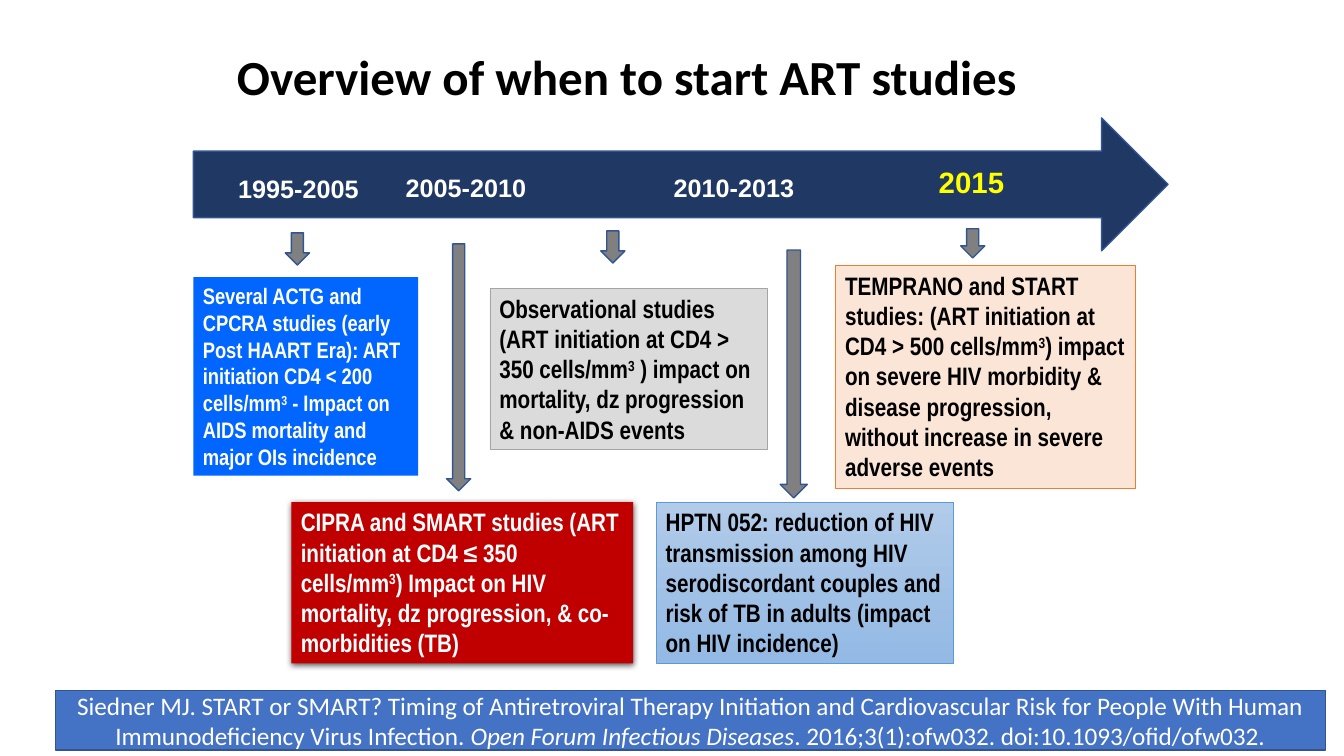
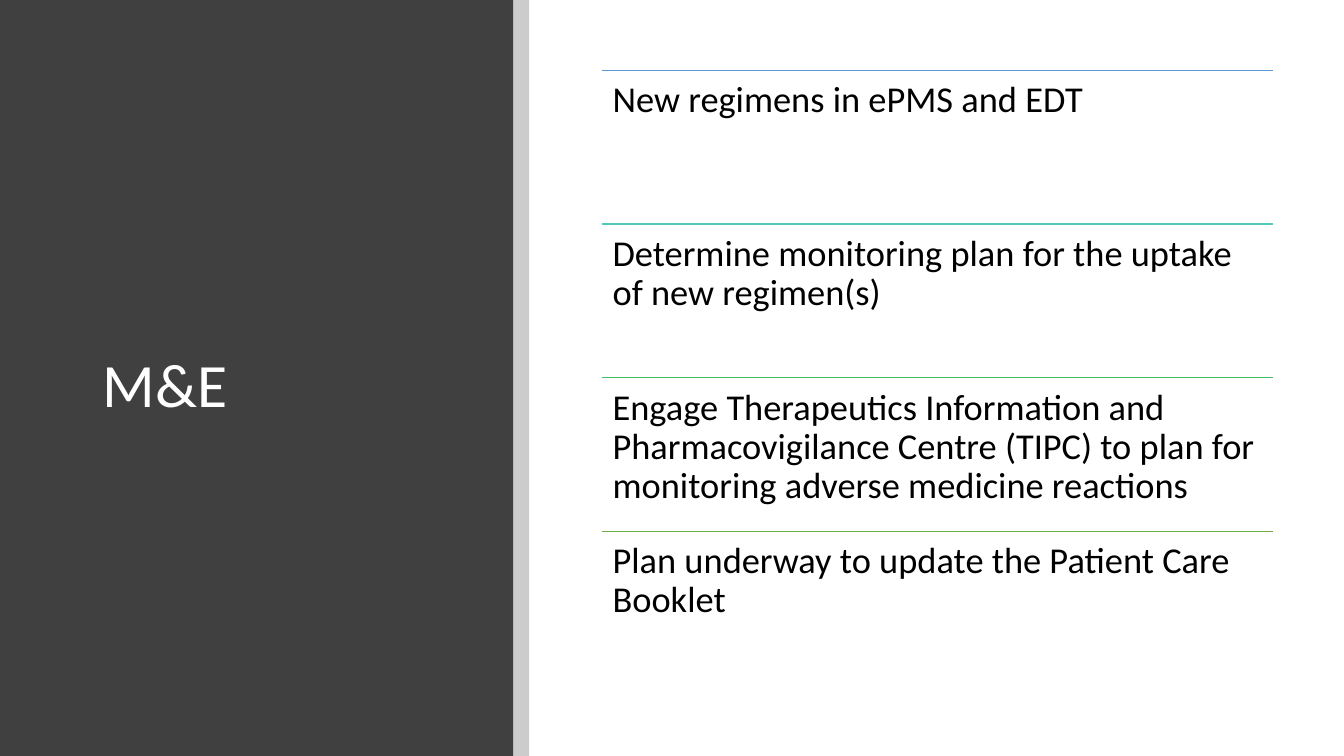
"""Build two slides: a timeline of ART studies and a monitoring list."""
from dataclasses import dataclass
from typing import NamedTuple, Optional

from lxml import etree
from pptx import Presentation
from pptx.dml.color import RGBColor
from pptx.enum import shapes, text
from pptx.oxml import ns
from pptx.util import Pt

FORM = shapes.MSO_SHAPE
LEFT, MID = text.PP_ALIGN.LEFT, text.PP_ALIGN.CENTER
TOP, HALF = text.MSO_ANCHOR.TOP, text.MSO_ANCHOR.MIDDLE


@dataclass(frozen=True)
class Theme:
    sans: str = "Calibri"
    slim: str = "Arial Narrow"
    digit: str = "Arial"
    black: str = "000000"
    white: str = "FFFFFF"
    yellow: str = "FFFF00"
    navy: str = "203864"
    edge: str = "325491"
    grey: str = "808080"
    blue: str = "0066FF"
    red: str = "C00000"
    pale: str = "DBDBDB"
    silver: str = "A5A5A5"
    sky: tuple = ("B1CBE9", "93B9E4")
    azure: str = "5B9BD5"
    peach: str = "FBE5D6"
    orange: str = "ED7D31"
    cite: str = "4472C4"
    panel: str = "404040"
    rules: tuple = ("5B9BD5", "52CAB8", "49BF64", "70AD47")
    small: float = 16
    base: float = 18
    year: float = 21
    item: float = 26
    head: float = 35
    large: float = 44


T = Theme()


class Box(NamedTuple):
    x: float
    y: float
    w: float
    h: float


class Piece(NamedTuple):
    words: str
    raised: bool = False
    slant: bool = False


class Style(NamedTuple):
    size: float
    color: str
    font: str = T.sans
    bold: bool = False
    align: text.PP_ALIGN = LEFT
    anchor: text.MSO_ANCHOR = TOP
    inset: tuple = (6.75, 3.4)
    space: Optional[float] = None


class Study(NamedTuple):
    box: Box
    fill: object
    line: Optional[str]
    prose: tuple
    color: str = T.black
    size: float = T.base
    shade: bool = False


class Date(NamedTuple):
    box: Box
    words: str
    color: str = T.white
    size: float = T.base
    align: text.PP_ALIGN = LEFT


CUBE = Piece("3", raised=True)
STUDIES = (
    Study(Box(138.2, 198, 160.6, 141.8), T.blue, None, (
        Piece("Several ACTG and CPCRA studies (early Post HAART Era): ART initiation CD4 < 200 cells/mm"),
        CUBE, Piece(" - Impact on AIDS mortality and major OIs incidence")),
        T.white, T.small),
    Study(Box(208.1, 358.6, 244.1, 115.2), T.red, None, (
        Piece("CIPRA and SMART studies (ART initiation at CD4 ≤ 350 cells/mm"),
        CUBE, Piece(") Impact on HIV mortality, dz progression, & co-morbidities (TB)")),
        T.white, shade=True),
    Study(Box(349.9, 205.9, 198, 115.2), T.pale, T.silver, (
        Piece("Observational studies (ART initiation at CD4 > 350 cells/mm"),
        CUBE, Piece(" ) impact on mortality, dz progression & non-AIDS events"))),
    Study(Box(468.7, 358.6, 212.4, 115.2), T.sky, T.azure, (
        Piece("HPTN 052: reduction of HIV transmission among HIV serodiscordant couples "
              "and risk of TB in adults (impact on HIV incidence)"),)),
    Study(Box(596.9, 189.4, 213.8, 159.1), T.peach, T.orange, (
        Piece("TEMPRANO and START studies: (ART initiation at CD4 > 500 cells/mm"),
        CUBE, Piece(") impact on severe HIV morbidity & disease progression, "
                    "without increase in severe adverse events"))),
)
DATES = (
    Date(Box(163.4, 120.2, 121.7, 28), "1995-2005"),
    Date(Box(283, 119.5, 156.2, 28), "2005-2010"),
    Date(Box(663.8, 113.8, 67, 31.7), "2015", T.yellow, T.year),
    Date(Box(456.5, 119.5, 135.4, 28), "2010-2013", align=MID),
)
ARROWS = (
    Box(203.8, 166.3, 17.3, 23),
    Box(429.1, 164.9, 17.3, 23),
    Box(686.2, 163.4, 17.3, 20.9),
    Box(319, 174.2, 17.3, 176.4),
    Box(557.3, 178.6, 19.4, 177.1),
)
SOURCE = (
    Piece("Siedner MJ. START or SMART? Timing of Antiretroviral Therapy Initiation and "
          "Cardiovascular Risk for People With Human Immunodeficiency Virus Infection. "),
    Piece("Open Forum Infectious Diseases", slant=True),
    Piece(". 2016;3(1):ofw032. doi:10.1093/ofid/ofw032."),
)
ITEMS = (
    "New regimens in ePMS and EDT",
    "Determine monitoring plan for the uptake of new regimen(s)",
    "Engage Therapeutics Information and Pharmacovigilance Centre (TIPC) "
    "to plan for monitoring adverse medicine reactions",
    "Plan underway to update the Patient Care Booklet",
)


def rgb(code: str) -> RGBColor:
    """Turn a hex code into a colour."""
    return RGBColor.from_string(code)


def sub(node, tag: str, **attrs: str):
    """Add a drawing element under a node."""
    return etree.SubElement(node, ns.qn(tag), attrs)


def write(shape, prose: tuple, style: Style):
    """Fill a shape with one styled paragraph and return it."""
    frame = shape.text_frame
    frame.word_wrap = True
    frame.auto_size = text.MSO_AUTO_SIZE.NONE
    frame.vertical_anchor = style.anchor
    side, edge = map(Pt, style.inset)
    frame.margin_left = frame.margin_right = side
    frame.margin_top = frame.margin_bottom = edge
    para = frame.paragraphs[0]
    para.alignment = style.align
    if style.space:
        para.line_spacing = style.space
    font = para.font
    font.size, font.bold, font.name = Pt(style.size), style.bold, style.font
    font.color.rgb = rgb(style.color)
    for piece in prose:
        run = para.add_run()
        run.text = piece.words
        if piece.slant:
            run.font.italic = True
        if piece.raised:
            run.font._element.set("baseline", "30000")
    return para


def draw(slide, form, box: Box, fill, line: Optional[str] = None,
         width: float = 1, alpha: Optional[int] = None):
    """Draw a preset shape with a plain or graded fill."""
    shape = slide.shapes.add_shape(form, *map(Pt, box))
    shape.shadow.inherit = False
    if isinstance(fill, tuple):
        shape.fill.gradient()
        shape.fill.gradient_angle = 270
        for stop, code in zip(shape.fill.gradient_stops, fill):
            stop.color.rgb = rgb(code)
    else:
        shape.fill.solid()
        shape.fill.fore_color.rgb = rgb(fill)
    if alpha:
        color = shape.element.spPr.find(".//" + ns.qn("a:srgbClr"))
        sub(color, "a:alpha", val=str(alpha * 1000))
    if line:
        shape.line.color.rgb = rgb(line)
        shape.line.width = Pt(width)
    else:
        shape.line.fill.background()
    return shape


def shade(shape) -> None:
    """Drop a soft shadow below a shape."""
    effects = shape.element.spPr.find(ns.qn("a:effectLst"))
    drop = sub(effects, "a:outerShdw", blurRad=str(Pt(4.5)), dist=str(Pt(1.5)),
               dir="5400000", algn="ctr", rotWithShape="0")
    sub(sub(drop, "a:srgbClr", val=T.black), "a:alpha", val="63000")


def label(slide, box: Box, words: str, style: Style):
    """Add a text box and return its paragraph."""
    return write(slide.shapes.add_textbox(*map(Pt, box)), (Piece(words),), style)


def title(slide, box: Box, words: str, size: float, color: str, bold: bool = False) -> None:
    """Place the title in front of what is drawn so far."""
    head = slide.shapes.title
    head.left, head.top, head.width, head.height = map(Pt, box)
    head.element.getparent().append(head.element)
    write(head, (Piece(words),), Style(size, color, bold=bold, anchor=HALF,
                                       inset=(7.2, 3.6), space=0.9))


def study(slide, card: Study) -> None:
    """Draw one study card."""
    shape = draw(slide, FORM.RECTANGLE, card.box, card.fill, card.line, 0.5)
    if card.shade:
        shade(shape)
    write(shape, card.prose, Style(card.size, card.color, T.slim, True))


def date(slide, mark: Date) -> None:
    """Write one right-to-left date on the timeline."""
    para = label(slide, mark.box, mark.words,
                 Style(mark.size, mark.color, bold=True, align=mark.align))
    para._p.get_or_add_pPr().set("rtl", "1")
    sub(para.font._element, "a:cs", typeface=T.digit)


def rule(slide, x: float, y: float, w: float, color: str) -> None:
    """Draw a level line."""
    line = slide.shapes.add_connector(shapes.MSO_CONNECTOR.STRAIGHT,
                                      Pt(x), Pt(y), Pt(x + w), Pt(y))
    line.line.color.rgb = rgb(color)
    line.line.width = Pt(1)
    sub(line._element.spPr, "a:effectLst")


def timeline(slide) -> None:
    """Build the overview of studies."""
    title(slide, Box(162, 23.8, 648.7, 66.2), "Overview of when to start ART studies",
          T.head, T.black, True)
    draw(slide, FORM.RIGHT_ARROW, Box(138.2, 84.2, 696.2, 95), T.navy, T.edge)
    for card in STUDIES:
        study(slide, card)
    for mark in DATES:
        date(slide, mark)
    for box in ARROWS:
        draw(slide, FORM.DOWN_ARROW, box, T.grey, T.edge)
    foot = draw(slide, FORM.RECTANGLE, Box(39.6, 493.2, 907.2, 42.5), T.cite, T.edge)
    write(foot, SOURCE, Style(T.base, T.white, align=MID, anchor=HALF, inset=(7.2, 3.6)))


def plan(slide) -> None:
    """Build the monitoring list beside its dark panel."""
    draw(slide, FORM.RECTANGLE, Box(0, 0, 366.5, 540), T.panel)
    draw(slide, FORM.RECTANGLE, Box(366.5, 0, 11.5, 540), T.black, alpha=20)
    title(slide, Box(66.2, 64.1, 262.8, 425.5), "M&E", T.large, T.white)
    left, top, wide, step = 429.8, 50.4, 479.5, 109.7
    style = Style(T.item, T.black, inset=(7.8, 7.8), space=0.9)
    for row, (words, color) in enumerate(zip(ITEMS, T.rules)):
        y = top + row * step
        rule(slide, left, y, wide, color)
        label(slide, Box(left, y, wide, step), words, style)


def main() -> None:
    """Build and save the deck."""
    deck = Presentation()
    deck.slide_width, deck.slide_height = Pt(960), Pt(540)
    for build in (timeline, plan):
        build(deck.slides.add_slide(deck.slide_layouts[5]))
    deck.save("out.pptx")


if __name__ == "__main__":
    main()
